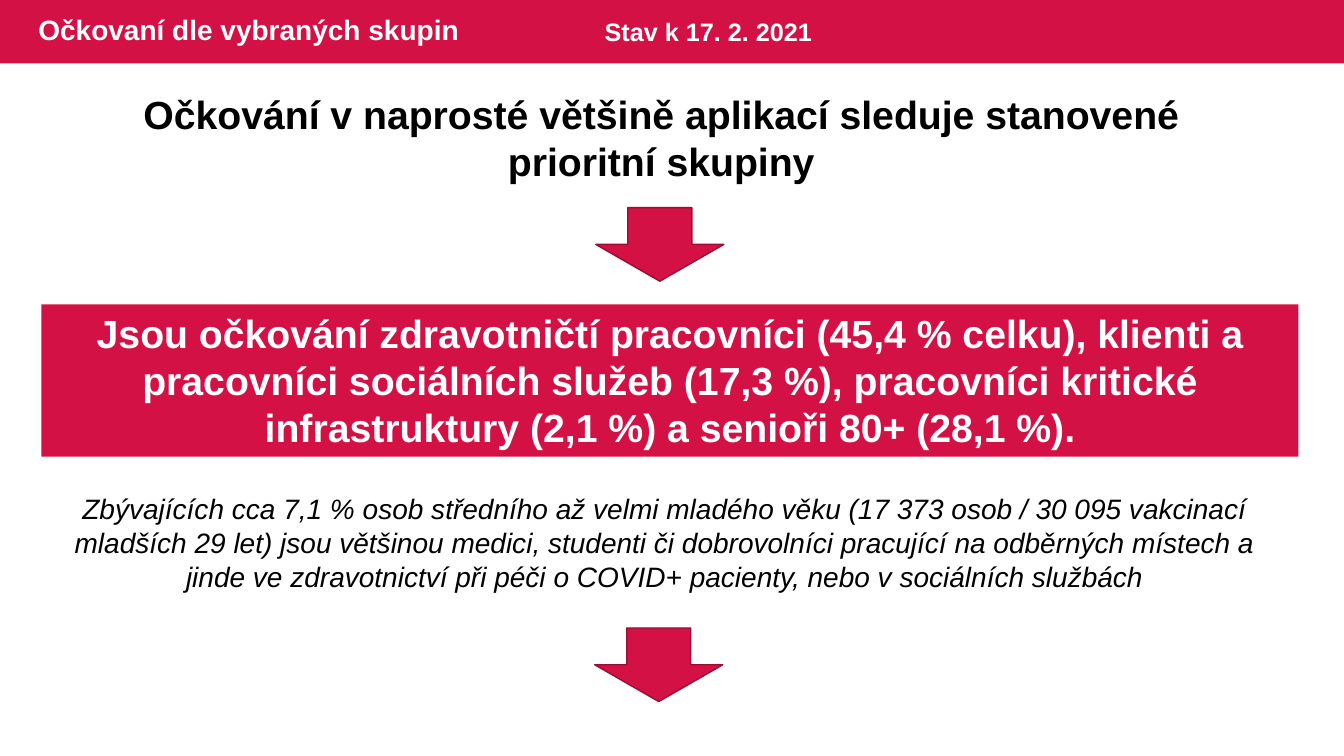
from dataclasses import dataclass

from pptx import Presentation
from pptx.dml.color import RGBColor
from pptx.enum.shapes import MSO_SHAPE
from pptx.enum.text import MSO_ANCHOR, MSO_AUTO_SIZE, PP_ALIGN
from pptx.shapes.autoshape import Shape
from pptx.slide import Slide
from pptx.util import Emu, Inches, Pt

SLIDE_WIDTH, SLIDE_HEIGHT = Inches(13.333), Inches(7.5)


@dataclass(frozen=True)
class Theme:
    crimson: RGBColor = RGBColor(0xD3, 0x11, 0x45)
    outline: RGBColor = RGBColor(0x9C, 0x0D, 0x33)
    white: RGBColor = RGBColor(0xFF, 0xFF, 0xFF)
    black: RGBColor = RGBColor(0, 0, 0)
    font: str = "Arial"
    outline_width: Pt = Pt(1)
    message_size: Pt = Pt(28)
    body_size: Pt = Pt(20)
    date_size: Pt = Pt(18)


THEME = Theme()


@dataclass(frozen=True)
class Area:
    """A place on the slide, in percent of its width and height."""

    left: float
    top: float
    width: float
    height: float

    def lengths(self) -> tuple[Emu, Emu, Emu, Emu]:
        return (
            Emu(round(SLIDE_WIDTH * self.left / 100)),
            Emu(round(SLIDE_HEIGHT * self.top / 100)),
            Emu(round(SLIDE_WIDTH * self.width / 100)),
            Emu(round(SLIDE_HEIGHT * self.height / 100)),
        )


@dataclass(frozen=True)
class Statement:
    text: str
    area: Area
    size: Pt
    color: RGBColor
    align: PP_ALIGN = PP_ALIGN.CENTER
    anchor: MSO_ANCHOR = MSO_ANCHOR.TOP
    bold: bool = True
    italic: bool = False
    line_spacing: float = 1.0
    filled: bool = False


BAND = Area(0, 0, 100, 8.4)
ARROWS = [Area(44.33, 27.47, 9.53, 9.73), Area(44.25, 83.07, 9.53, 9.73)]

TITLE = Statement(
    "Očkovaní dle vybraných skupin",
    Area(2.1, 0, 60.98, 8.4), THEME.body_size, THEME.white,
    align=PP_ALIGN.LEFT, anchor=MSO_ANCHOR.MIDDLE, line_spacing=0.9,
)
STATEMENTS = [
    Statement(
        "Stav k 17. 2. 2021",
        Area(44.25, 1.47, 22.2, 5.33), THEME.date_size, THEME.white,
        align=PP_ALIGN.LEFT,
    ),
    Statement(
        "Očkování v naprosté většině aplikací sleduje stanovené prioritní skupiny",
        Area(5.4, 11.33, 87.6, 13.87), THEME.message_size, THEME.black,
    ),
    Statement(
        "Jsou očkování zdravotničtí pracovníci (45,4 % celku), klienti a "
        "pracovníci sociálních služeb (17,3 %), pracovníci kritické "
        "infrastruktury (2,1 %) a senioři 80+ (28,1 %).",
        Area(3.08, 40.27, 93.53, 20.13), THEME.message_size, THEME.white,
        filled=True,
    ),
    Statement(
        "Zbývajících cca 7,1 % osob středního až velmi mladého věku "
        "(17 373 osob / 30 095 vakcinací mladších 29 let) jsou většinou medici, "
        "studenti či dobrovolníci pracující na odběrných místech a jinde ve "
        "zdravotnictví při péči o COVID+ pacienty, nebo v sociálních službách",
        Area(2.33, 64.4, 94.28, 14.8), THEME.body_size, THEME.black,
        bold=False, italic=True,
    ),
]


def add_crimson(slide: Slide, kind: MSO_SHAPE, area: Area, outlined: bool = False) -> Shape:
    shape = slide.shapes.add_shape(kind, *area.lengths())
    shape.shadow.inherit = False
    shape.fill.solid()
    shape.fill.fore_color.rgb = THEME.crimson
    if outlined:
        shape.line.color.rgb = THEME.outline
        shape.line.width = THEME.outline_width
    else:
        shape.line.fill.background()
    return shape


def write(shape: Shape, statement: Statement) -> None:
    frame = shape.text_frame
    frame.text = statement.text
    frame.word_wrap = True
    frame.auto_size = MSO_AUTO_SIZE.NONE
    frame.vertical_anchor = statement.anchor
    paragraph = frame.paragraphs[0]
    paragraph.alignment = statement.align
    paragraph.line_spacing = statement.line_spacing
    font = paragraph.font
    font.name = THEME.font
    font.size = statement.size
    font.bold = statement.bold
    font.italic = statement.italic
    font.color.rgb = statement.color


def add_statement(slide: Slide, statement: Statement) -> None:
    if statement.filled:
        shape = add_crimson(slide, MSO_SHAPE.RECTANGLE, statement.area)
    else:
        shape = slide.shapes.add_textbox(*statement.area.lengths())
    write(shape, statement)


def main() -> None:
    presentation = Presentation()
    presentation.slide_width, presentation.slide_height = SLIDE_WIDTH, SLIDE_HEIGHT
    slide = presentation.slides.add_slide(presentation.slide_layouts.get_by_name("Title Only"))

    # Header band, placed behind the title
    title = slide.shapes.title
    title.left, title.top, title.width, title.height = TITLE.area.lengths()
    write(title, TITLE)
    band = add_crimson(slide, MSO_SHAPE.RECTANGLE, BAND)
    title.element.addprevious(band.element)

    # Date, headline, key message and note
    for statement in STATEMENTS:
        add_statement(slide, statement)

    # Arrows leading from one statement to the next
    for area in ARROWS:
        add_crimson(slide, MSO_SHAPE.DOWN_ARROW, area, outlined=True)

    presentation.save("out.pptx")


if __name__ == "__main__":
    main()
